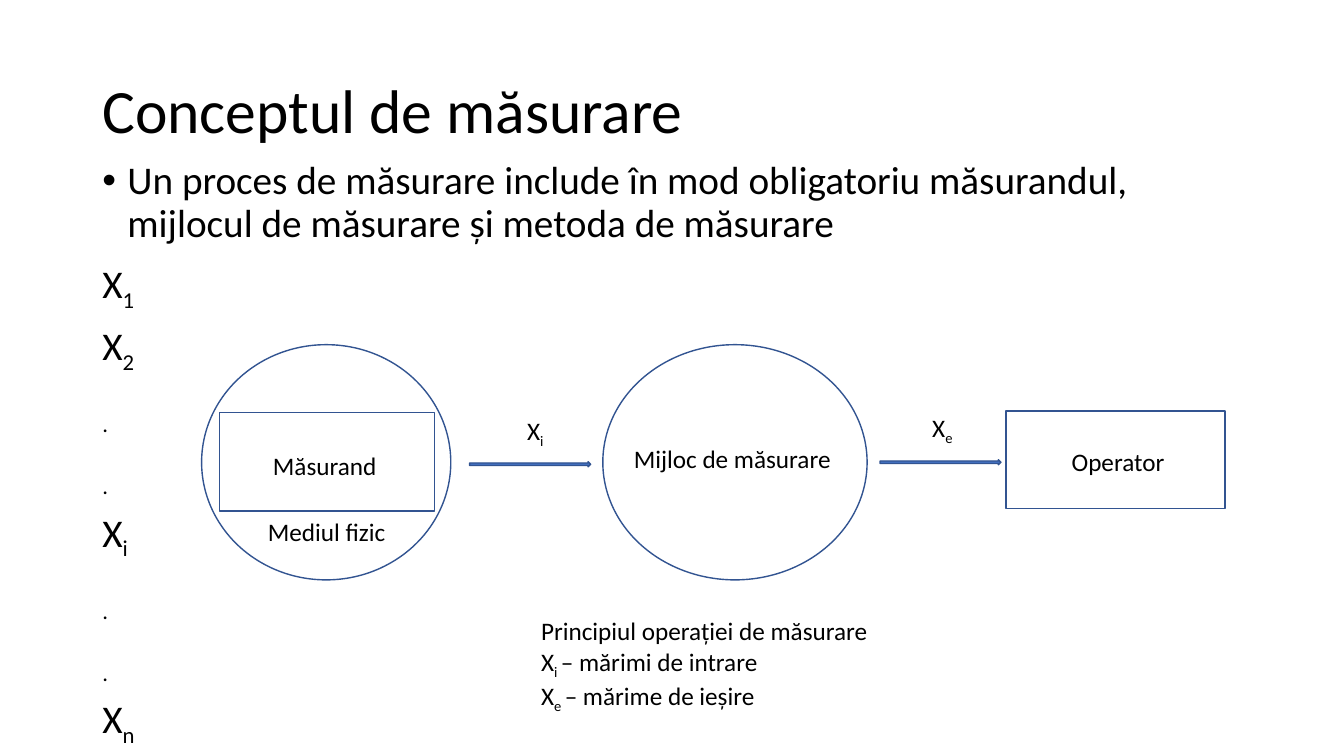
import pptx
import pptx.dml.color
import pptx.enum.shapes
import pptx.enum.text
import pptx.oxml.ns
import pptx.util
from lxml import etree

Pt = pptx.util.Pt
RGBColor = pptx.dml.color.RGBColor
Shape = pptx.enum.shapes.MSO_SHAPE
Align = pptx.enum.text.PP_ALIGN
Anchor = pptx.enum.text.MSO_ANCHOR
AutoSize = pptx.enum.text.MSO_AUTO_SIZE

BLACK = RGBColor(0x00, 0x00, 0x00)
OUTLINE = RGBColor(0x32, 0x54, 0x91)
ARROW_BLUE = RGBColor(0x44, 0x72, 0xC4)
FONT = "Calibri"
SUBSCRIPT = "-25000"


def add_outline(slide, preset, left, top, width, height, fill=None):
    figure = slide.shapes.add_shape(preset, Pt(left), Pt(top), Pt(width), Pt(height))
    figure.shadow.inherit = False
    if fill is None:
        figure.fill.background()
    else:
        figure.fill.solid()
        figure.fill.fore_color.rgb = fill
    figure.line.color.rgb = OUTLINE
    figure.line.width = Pt(1)


def add_text(slide, left, top, width, height, paragraphs, size=18, align=Align.LEFT,
             wrap=True, anchor=Anchor.TOP, grow=True):
    """Each paragraph is a tuple of pieces that alternate normal and subscript."""
    box = slide.shapes.add_textbox(Pt(left), Pt(top), Pt(width), Pt(height))
    frame = box.text_frame
    frame.word_wrap = wrap
    frame.vertical_anchor = anchor
    frame.auto_size = AutoSize.SHAPE_TO_FIT_TEXT if grow else AutoSize.NONE
    for number, pieces in enumerate(paragraphs):
        paragraph = frame.add_paragraph() if number else frame.paragraphs[0]
        paragraph.alignment = align
        for position, piece in enumerate(pieces):
            if piece:
                add_run(paragraph, piece, size, position % 2 == 1)
    return frame


def add_run(paragraph, text, size, subscript):
    run = paragraph.add_run()
    run.text = text
    run.font.name = FONT
    run.font.size = Pt(size)
    run.font.color.rgb = BLACK
    if subscript:
        run._r.get_or_add_rPr().set("baseline", SUBSCRIPT)


def add_bullet(paragraph, indent):
    properties = paragraph._p.get_or_add_pPr()
    properties.set("marL", str(Pt(indent)))
    properties.set("indent", str(-Pt(indent)))
    bullet_font = etree.SubElement(properties, pptx.oxml.ns.qn("a:buFont"))
    bullet_font.set("typeface", "Arial")
    bullet = etree.SubElement(properties, pptx.oxml.ns.qn("a:buChar"))
    bullet.set("char", "•")


def add_title(slide):
    title = add_text(slide, 66, 28.75, 828, 104.4, [("Conceptul de măsurare",)],
                     size=44, anchor=Anchor.MIDDLE, grow=False)
    title.paragraphs[0].line_spacing = 0.9


def add_body(slide):
    statement = ("Un proces de măsurare include în mod obligatoriu măsurandul, "
                 "mijlocul de măsurare și metoda de măsurare")
    dots = [("", ".")] * 2
    quantities = [("X", "1"), ("X", "2"), *dots, ("X", "i"), *dots, ("X", "n")]
    body = add_text(slide, 66, 111.5, 828, 428.4, [(statement,), *quantities],
                    size=28, grow=False)
    for paragraph in body.paragraphs:
        paragraph.line_spacing = 0.9
        paragraph.space_before = Pt(10)
    add_bullet(body.paragraphs[0], 18)


def add_diagram(slide):
    add_outline(slide, Shape.OVAL, 144, 246.2, 178, 168)
    add_outline(slide, Shape.OVAL, 430.6, 246.2, 188.8, 168)
    add_outline(slide, Shape.RECTANGLE, 718.6, 293.6, 156.4, 69.8)
    add_outline(slide, Shape.RECTANGLE, 156.8, 294.6, 153.8, 70.4)

    add_text(slide, 187.9, 318.4, 89.3, 29, [("Măsurand",)], wrap=False)
    add_text(slide, 180, 365, 106.6, 29, [("Mediul fizic",)], align=Align.CENTER)
    add_text(slide, 445.7, 313.2, 160, 29, [("Mijloc de măsurare",)])
    add_text(slide, 718.6, 315.4, 160, 29, [("Operator",)], align=Align.CENTER)

    for left, top in ((335.5, 329.8), (628.6, 328.4)):
        add_outline(slide, Shape.RIGHT_ARROW, left, top, 86.4, 3.6, ARROW_BLUE)
    add_text(slide, 369.4, 293, 26.6, 51, [("X", "i")], wrap=False)
    add_text(slide, 658.8, 290.9, 29.5, 51, [("X", "e")], wrap=False)


def add_legend(slide):
    add_text(slide, 379.4, 436.3, 368.6, 72.7, [
        ("Principiul operației de măsurare",),
        ("X", "i ", "– mărimi de intrare"),
        ("X", "e ", "– mărime de ieșire"),
    ])


def main():
    presentation = pptx.Presentation()
    presentation.slide_width = Pt(960)
    presentation.slide_height = Pt(540)
    slide = presentation.slides.add_slide(presentation.slide_layouts[6])
    add_title(slide)
    add_body(slide)
    add_diagram(slide)
    add_legend(slide)
    presentation.save("out.pptx")


if __name__ == "__main__":
    main()
